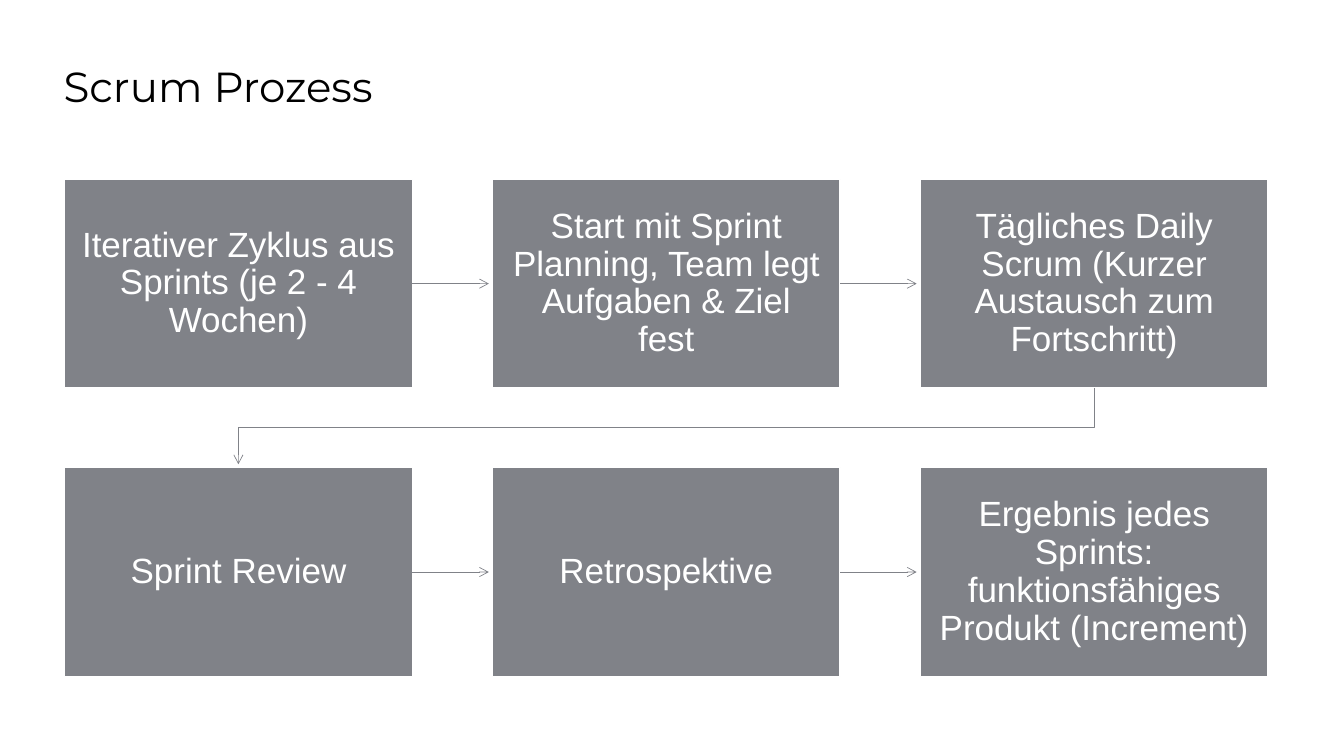
from lxml import etree
from pptx import Presentation
from pptx.dml.color import RGBColor
from pptx.enum import shapes, text
from pptx.oxml import ns
from pptx.util import Pt

COLORS = {"box": "808288", "white": "FFFFFF", "title": "000000"}
STEPS = [
    "Iterativer Zyklus aus Sprints (je 2 - 4 Wochen)",
    "Start mit Sprint Planning, Team legt Aufgaben & Ziel fest",
    "Tägliches Daily Scrum (Kurzer Austausch zum Fortschritt)",
    "Sprint Review",
    "Retrospektive",
    "Ergebnis jedes Sprints: funktionsfähiges Produkt (Increment)",
]
COLUMNS = 3
LEFT, TOP = 46.1, 128.1
WIDTH, HEIGHT = 248.4, 149
COLUMN_STEP, ROW_STEP = 305.6, 206
ARROW_GAP = 2.5


def add_run(paragraph, words, font_name, size, color):
    run = paragraph.add_run()
    run.text = words
    run.font.name = font_name
    run.font.size = Pt(size)
    run.font.color.rgb = RGBColor.from_string(COLORS[color])


def style_arrow(arrow):
    arrow.line.color.rgb = RGBColor.from_string(COLORS["box"])
    arrow.line.width = Pt(0.5)
    tail = etree.SubElement(arrow.line._get_or_add_ln(), ns.qn("a:tailEnd"))
    tail.set("type", "arrow")


presentation = Presentation()
presentation.slide_width = Pt(960)
presentation.slide_height = Pt(540)
slide = presentation.slides.add_slide(presentation.slide_layouts[5])

title = slide.shapes.title
title.left, title.top, title.width, title.height = Pt(38.2), Pt(45.4), Pt(876), Pt(77.8)
title.text_frame.vertical_anchor = text.MSO_ANCHOR.TOP
title.text_frame.auto_size = text.MSO_AUTO_SIZE.NONE
paragraph = title.text_frame.paragraphs[0]
paragraph.alignment = text.PP_ALIGN.LEFT
paragraph.line_spacing = 0.83
add_run(paragraph, "Scrum Prozess", "Montserrat", 30, "title")

boxes = []
for index, step in enumerate(STEPS):
    row, column = divmod(index, COLUMNS)
    x = LEFT + column * COLUMN_STEP
    y = TOP + row * ROW_STEP
    box = slide.shapes.add_shape(
        shapes.MSO_SHAPE.RECTANGLE, Pt(x), Pt(y), Pt(WIDTH), Pt(HEIGHT))
    box.shadow.inherit = False
    box.fill.solid()
    box.fill.fore_color.rgb = RGBColor.from_string(COLORS["box"])
    box.line.color.rgb = RGBColor.from_string(COLORS["white"])
    box.line.width = Pt(1)
    frame = box.text_frame
    frame.word_wrap = True
    frame.vertical_anchor = text.MSO_ANCHOR.MIDDLE
    frame.margin_left = frame.margin_right = Pt(12.2)
    frame.margin_top = frame.margin_bottom = Pt(12.8)
    paragraph = frame.paragraphs[0]
    paragraph.alignment = text.PP_ALIGN.CENTER
    paragraph.line_spacing = 0.9
    add_run(paragraph, step, "Arial", 25, "white")
    boxes.append(box)

    if column < COLUMNS - 1:
        middle = y + HEIGHT / 2
        arrow = slide.shapes.add_connector(
            shapes.MSO_CONNECTOR.STRAIGHT, Pt(x + WIDTH), Pt(middle),
            Pt(x + COLUMN_STEP - ARROW_GAP), Pt(middle))
        arrow.begin_connect(box, 3)
        style_arrow(arrow)
        etree.SubElement(arrow._element.spPr, ns.qn("a:effectLst"))

start_x = LEFT + (COLUMNS - 1) * COLUMN_STEP + WIDTH / 2
end_x = LEFT + WIDTH / 2
start_y = TOP + HEIGHT
end_y = TOP + ROW_STEP - ARROW_GAP
turn_y = TOP + (HEIGHT + ROW_STEP) / 2
builder = slide.shapes.build_freeform(Pt(start_x), Pt(start_y))
builder.add_line_segments(
    [(Pt(start_x), Pt(turn_y)), (Pt(end_x), Pt(turn_y)), (Pt(end_x), Pt(end_y))],
    close=False)
row_arrow = builder.convert_to_shape()
row_arrow.shadow.inherit = False
row_arrow.fill.background()
style_arrow(row_arrow)

presentation.save("out.pptx")
